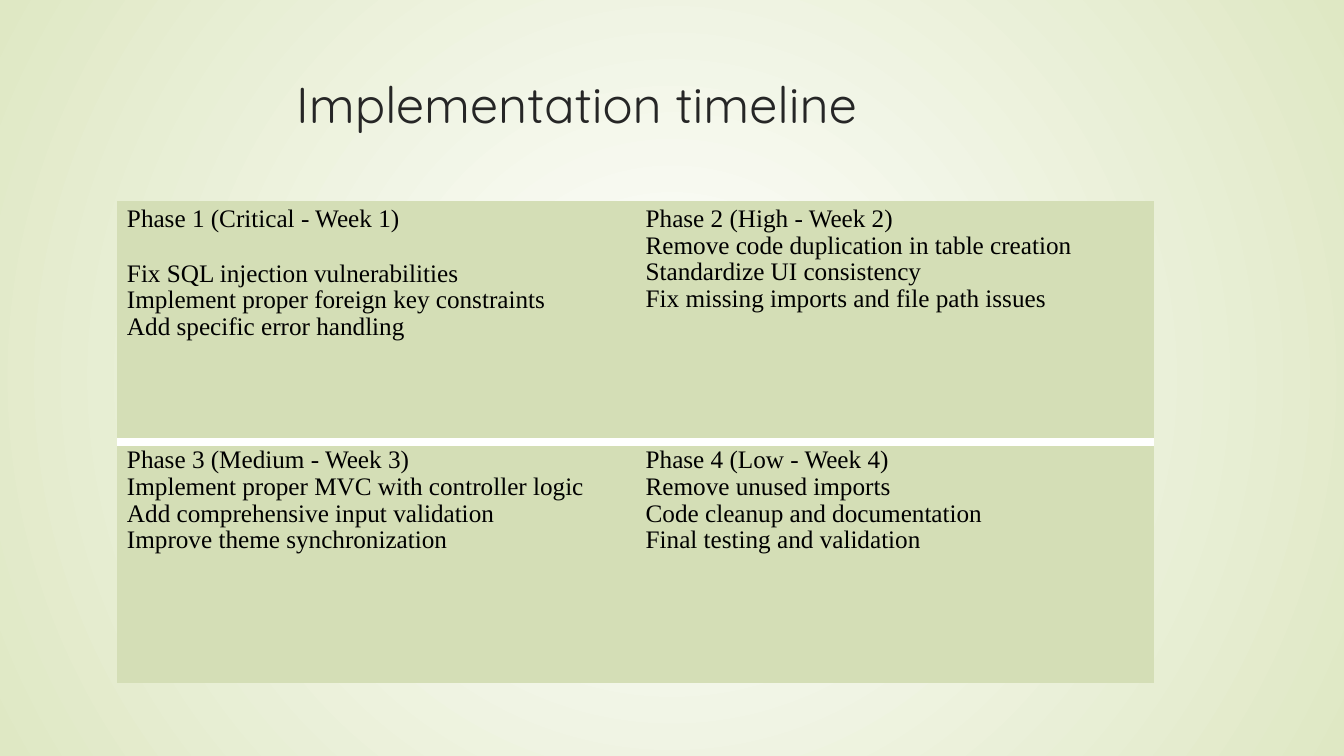
from dataclasses import dataclass
from lxml.etree import SubElement as Sub
from pptx import Presentation
from pptx.dml.color import RGBColor as RGB
from pptx.enum.text import MSO_ANCHOR as Anchor
from pptx.oxml.ns import qn
from pptx.util import Pt


@dataclass
class Theme:
    dark: str = "262626"
    ink: str = "000000"
    white: str = "FFFFFF"
    edge: str = "DFE8C4"
    cell: str = "D4DEB6"
    head: str = "Quicksand"
    body: str = "Times New Roman"
    big: float = 36
    text: float = 18
    rule: float = 6
    pitch: float = 0.96


class Page:
    def __init__(self, deck, theme):
        self.look = theme
        self.slide = deck.slides.add_slide(deck.slide_layouts[6])

    def glow(self):
        """Radial gradient from white to pale green."""
        fill = self.slide.background.fill
        fill.gradient()
        for stop, tint in zip(fill.gradient_stops, (self.look.white, self.look.edge)):
            stop.color.rgb = RGB.from_string(tint)
        grad = self.slide.element.find(".//" + qn("a:gradFill"))
        grad.remove(grad.find(qn("a:lin")))
        ring = Sub(grad, qn("a:path"), {"path": "circle"})
        Sub(ring, qn("a:fillToRect"), dict.fromkeys("ltrb", "50000"))

    def style(self, para, face, size, tint):
        for run in para.runs:
            run.font.name = face
            run.font.size = Pt(size)
            run.font.color.rgb = RGB.from_string(tint)

    def title(self, text, x, y, w, h):
        frame = self.slide.shapes.add_textbox(Pt(x), Pt(y), Pt(w), Pt(h)).text_frame
        frame.word_wrap = True
        frame.vertical_anchor = Anchor.TOP
        frame.text = text
        self.style(frame.paragraphs[0], self.look.head, self.look.big, self.look.dark)

    def table(self, rows, x, y, w, h):
        shape = self.slide.shapes.add_table(
            len(rows), len(rows[0]), Pt(x), Pt(y), Pt(w), Pt(h))
        grid = shape.table
        grid.first_row = grid.horz_banding = False
        # Plain table style without grid lines
        plain = shape.element.find(".//" + qn("a:tableStyleId"))
        plain.text = "{2D5ABB26-0587-4C30-8999-92F81FD0307C}"
        for r, row in enumerate(rows):
            for c, lines in enumerate(row):
                cell = grid.cell(r, c)
                self.fill(cell, lines)
                if r < len(rows) - 1:
                    self.rule(cell)
        return grid

    def fill(self, cell, lines):
        cell.fill.solid()
        cell.fill.fore_color.rgb = RGB.from_string(self.look.cell)
        cell.text_frame.text = "\n".join(lines)
        for para in cell.text_frame.paragraphs:
            para.line_spacing = self.look.pitch
            self.style(para, self.look.body, self.look.text, self.look.ink)

    def rule(self, cell):
        """White line under a cell."""
        props = cell._tc.get_or_add_tcPr()
        line = Sub(props, qn("a:lnB"), {"w": str(Pt(self.look.rule))})
        Sub(Sub(line, qn("a:solidFill")), qn("a:srgbClr"), {"val": self.look.white})
        props.insert(0, line)


PHASES = [
    [
        ["Phase 1 (Critical - Week 1)",
         "Fix SQL injection vulnerabilities",
         "Implement proper foreign key constraints",
         "Add specific error handling"],
        ["Phase 2 (High - Week 2)",
         "Remove code duplication in table creation",
         "Standardize UI consistency",
         "Fix missing imports and file path issues"],
    ],
    [
        ["Phase 3 (Medium - Week 3)",
         "Implement proper MVC with controller logic",
         "Add comprehensive input validation",
         "Improve theme synchronization"],
        ["Phase 4 (Low - Week 4)",
         "Remove unused imports",
         "Code cleanup and documentation",
         "Final testing and validation"],
    ],
]


def main():
    deck = Presentation()
    deck.slide_width, deck.slide_height = Pt(960), Pt(540)
    page = Page(deck, Theme())

    # Background and heading
    page.glow()
    page.title("Implementation timeline", 204.5, 49, 702, 100.8)

    # Four phases, with a gap below the first heading
    grid = page.table(PHASES, 83.5, 143.5, 741, 344.5)
    grid.cell(0, 0).text_frame.paragraphs[1].space_before = Pt(20)

    deck.save("out.pptx")


if __name__ == "__main__":
    main()
